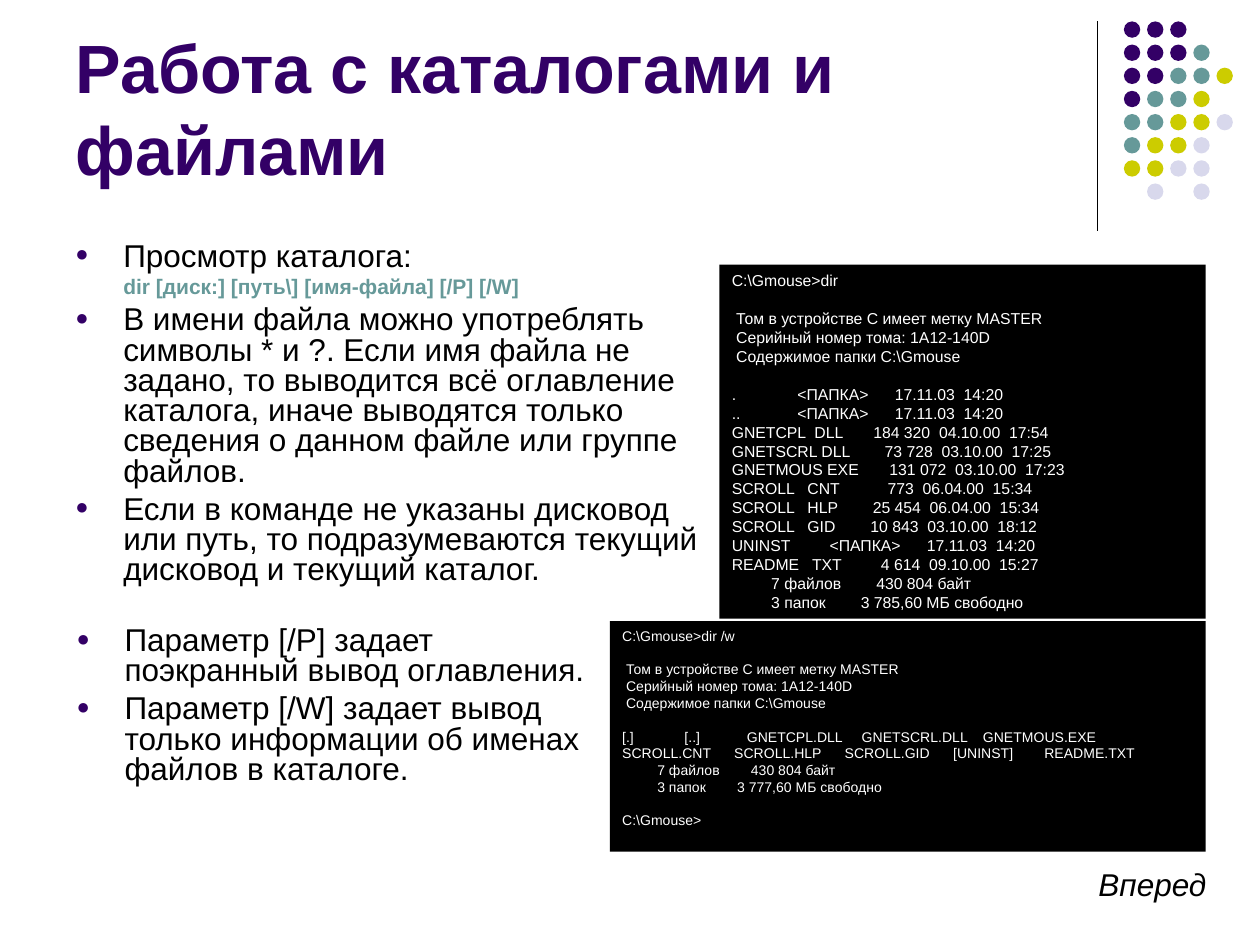
from dataclasses import dataclass

from lxml import etree
from pptx import Presentation
from pptx.dml.color import RGBColor
from pptx.enum.shapes import MSO_CONNECTOR, MSO_SHAPE
from pptx.enum.text import MSO_ANCHOR, MSO_AUTO_SIZE, PP_ALIGN
from pptx.oxml.ns import qn
from pptx.util import Inches, Pt

STRAIGHT = MSO_CONNECTOR.STRAIGHT
ELLIPSE = MSO_SHAPE.OVAL
RECTANGLE = MSO_SHAPE.RECTANGLE
TOP, BOTTOM = MSO_ANCHOR.TOP, MSO_ANCHOR.BOTTOM
NO_FIT = MSO_AUTO_SIZE.NONE
LEFT = PP_ALIGN.LEFT


@dataclass(frozen=True)
class Theme:
    """Colours, font and type sizes of the slide."""
    font: str = "Arial"
    ink: str = "000000"
    paper: str = "FFFFFF"
    violet: str = "330066"
    teal: str = "669999"
    olive: str = "CCCC00"
    lilac: str = "D8D8EC"
    title: int = 39
    body: int = 18
    syntax: int = 12
    listing: int = 9
    wide_listing: int = 8
    line_height: float = 1.2


THEME = Theme()
DOT_COLOURS = {"V": THEME.violet, "T": THEME.teal, "O": THEME.olive, "L": THEME.lilac}
DOT_ROWS = ("VVV", "VVVT", "VVTTO", "VTTO", "TTOOL", "TOOL", "OOLL", " L L")

TITLE = "Работа с каталогами и файлами"
SYNTAX = r"dir [диск:] [путь\] [имя-файла] [/P] [/W]"
VIEW_POINTS = (
    ("Просмотр каталога:", False),
    (SYNTAX, True),
    ("В имени файла можно употреблять символы * и ?. Если имя файла не задано, "
     "то выводится всё оглавление каталога, иначе выводятся только сведения "
     "о данном файле или группе файлов.", False),
    ("Если в команде не указаны дисковод или путь, то подразумеваются текущий "
     "дисковод и текущий каталог.", False),
)
OPTION_POINTS = (
    ("Параметр [/P] задает поэкранный вывод оглавления.", False),
    ("Параметр [/W] задает вывод только информации об именах файлов в каталоге.", False),
)
VOLUME = (
    " Том в устройстве C имеет метку MASTER",
    " Серийный номер тома: 1A12-140D",
    r" Содержимое папки C:\Gmouse",
)
DIR_OUTPUT = (
    (r"C:\Gmouse>dir",),
    VOLUME,
    (
        ".              <ПАПКА>      17.11.03  14:20",
        "..             <ПАПКА>      17.11.03  14:20",
        "GNETCPL  DLL       184 320  04.10.00  17:54",
        "GNETSCRL DLL        73 728  03.10.00  17:25",
        "GNETMOUS EXE       131 072  03.10.00  17:23",
        "SCROLL   CNT           773  06.04.00  15:34",
        "SCROLL   HLP        25 454  06.04.00  15:34",
        "SCROLL   GID        10 843  03.10.00  18:12",
        "UNINST         <ПАПКА>      17.11.03  14:20",
        "README   TXT         4 614  09.10.00  15:27",
        "         7 файлов        430 804 байт",
        "         3 папок        3 785,60 МБ свободно",
    ),
)
WIDE_OUTPUT = (
    (r"C:\Gmouse>dir /w",),
    VOLUME,
    (
        "[.]             [..]            GNETCPL.DLL     GNETSCRL.DLL    GNETMOUS.EXE",
        "SCROLL.CNT      SCROLL.HLP      SCROLL.GID      [UNINST]        README.TXT",
        "         7 файлов        430 804 байт",
        "         3 папок        3 777,60 МБ свободно",
    ),
    (r"C:\Gmouse>",),
)


def apply(target, values):
    """Set each named attribute of the target."""
    for name, value in values.items():
        setattr(target, name, value)


def place(shape, left, top, width, height):
    """Move and size a shape in inches."""
    apply(shape, {"left": Inches(left), "top": Inches(top),
                  "width": Inches(width), "height": Inches(height)})


def prepare_frame(shape, anchor=TOP, wrap=True):
    """Give a text frame its margins, anchor and wrapping."""
    frame = shape.text_frame
    apply(frame, {"auto_size": NO_FIT, "word_wrap": wrap, "vertical_anchor": anchor,
                  "margin_left": Inches(0.1), "margin_right": Inches(0.1),
                  "margin_top": Inches(0.05), "margin_bottom": Inches(0.05)})
    return frame


def next_paragraph(frame, is_first):
    """Return the opening paragraph or a new one."""
    return frame.paragraphs[0] if is_first else frame.add_paragraph()


def write(para, text, size, colour, bold=False, italic=False):
    """Add one formatted span to a paragraph."""
    para.alignment = LEFT
    span = para.add_run()
    span.text = text
    apply(span.font, {"name": THEME.font, "size": Pt(size), "bold": bold, "italic": italic})
    span.font.color.rgb = RGBColor.from_string(colour)


def add_bullet(para):
    """Give a paragraph a small violet bullet."""
    props = para._p.get_or_add_pPr()
    colour = etree.SubElement(props, qn("a:buClr"))
    etree.SubElement(colour, qn("a:srgbClr"), val=THEME.violet)
    etree.SubElement(props, qn("a:buSzPct"), val="70000")
    etree.SubElement(props, qn("a:buFont"), typeface=THEME.font)
    etree.SubElement(props, qn("a:buChar"), char="●")


def add_title(slide):
    """Fill and place the title placeholder."""
    title = slide.shapes.title
    place(title, 0.5, 0.13, 8.25, 1.42)
    frame = prepare_frame(title, BOTTOM)
    write(frame.paragraphs[0], TITLE, THEME.title, THEME.violet, bold=True)


def add_points(slide, area, points):
    """Add a list of bulleted points and syntax lines."""
    box = slide.shapes.add_textbox(*map(Inches, area))
    frame = prepare_frame(box)
    for index, (text, is_syntax) in enumerate(points):
        para = next_paragraph(frame, index == 0)
        apply(para, {"line_spacing": 0.8, "space_before": Pt(3 if is_syntax else 4.5),
                     "level": int(is_syntax)})
        props = para._p.get_or_add_pPr()
        props.set("marL", str(Inches(0.76 if is_syntax else 0.38)))
        props.set("indent", str(Inches(-0.38)))
        if is_syntax:
            write(para, text, THEME.syntax, THEME.teal, bold=True)
        else:
            add_bullet(para)
            write(para, text, THEME.body, THEME.ink)


def add_solid(slide, kind, area, colour):
    """Add a plain filled shape without outline or shadow."""
    shape = slide.shapes.add_shape(kind, *map(Inches, area))
    shape.shadow.inherit = False
    shape.fill.solid()
    shape.fill.fore_color.rgb = RGBColor.from_string(colour)
    shape.line.fill.background()
    return shape


def add_console(slide, area, blocks, size):
    """Add a black console with blocks of output set one line apart."""
    frame = prepare_frame(add_solid(slide, RECTANGLE, area, THEME.ink))
    for block_index, block in enumerate(blocks):
        for line_index, text in enumerate(block):
            para = next_paragraph(frame, block_index + line_index == 0)
            if block_index and line_index == 0:
                para.space_before = Pt(size * THEME.line_height)
            write(para, text, size, THEME.paper)


def add_ornament(slide):
    """Add the vertical rule and the grid of dots."""
    rule = slide.shapes.add_connector(
        STRAIGHT, Inches(8.71), Inches(0.17), Inches(8.71), Inches(1.83))
    rule.line.width = Pt(0.75)
    rule.line.color.rgb = RGBColor.from_string(THEME.ink)
    etree.SubElement(rule._element.spPr, qn("a:effectLst"))
    pitch, size = 0.18375, 0.13
    for row, codes in enumerate(DOT_ROWS):
        for column, code in enumerate(codes):
            if code in DOT_COLOURS:
                area = (8.92 + column * pitch, 0.17 + row * pitch, size, size)
                add_solid(slide, ELLIPSE, area, DOT_COLOURS[code])


def add_forward_label(slide):
    """Add the italic label in the lower right corner."""
    box = slide.shapes.add_textbox(Inches(8.62), Inches(6.82), Inches(1.06), Inches(0.4))
    frame = prepare_frame(box, wrap=False)
    write(frame.paragraphs[0], "Вперед", THEME.body, THEME.ink, italic=True)


def main():
    """Build and save the slide."""
    deck = Presentation()
    apply(deck, {"slide_width": Inches(10), "slide_height": Inches(7.5)})
    slide = deck.slides.add_slide(deck.slide_layouts[5])
    add_ornament(slide)
    add_title(slide)
    add_points(slide, (0.5, 1.88, 5.21, 2.97), VIEW_POINTS)
    add_forward_label(slide)
    add_console(slide, (5.71, 2.1, 3.86, 2.81), DIR_OUTPUT, THEME.listing)
    add_console(slide, (4.84, 4.93, 4.73, 1.83), WIDE_OUTPUT, THEME.wide_listing)
    add_points(slide, (0.51, 4.93, 4.25, 1.58), OPTION_POINTS)
    deck.save("out.pptx")


if __name__ == "__main__":
    main()
